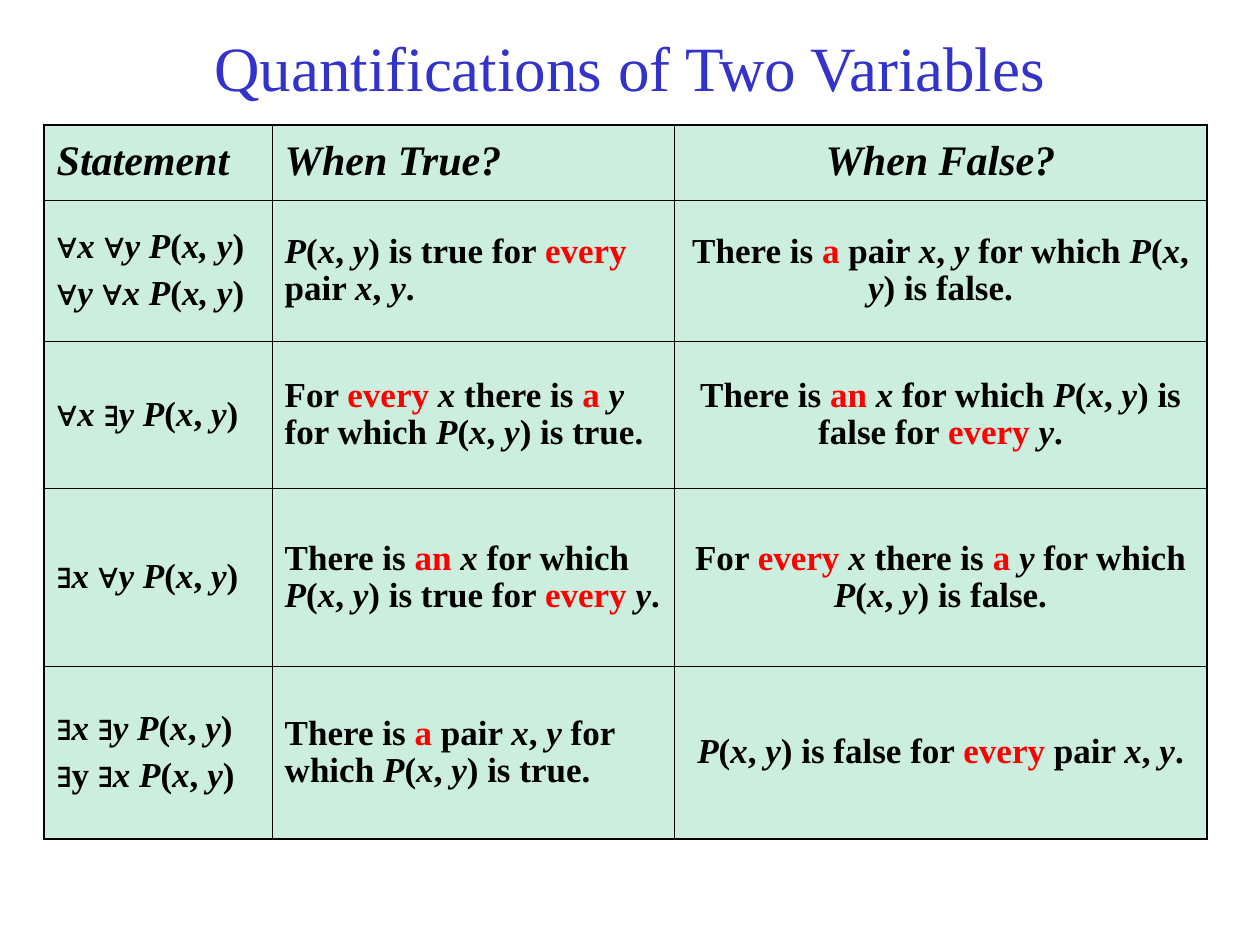
from dataclasses import dataclass
from itertools import groupby

from lxml.etree import SubElement
from pptx import Presentation
from pptx.dml.color import RGBColor
from pptx.enum.text import MSO_ANCHOR, MSO_AUTO_SIZE, PP_ALIGN
from pptx.oxml.ns import qn
from pptx.util import Inches, Pt


@dataclass(frozen=True)
class Theme:
    title_color: str = "3333CC"
    ink: str = "000000"
    accent: str = "FF0000"
    cell_fill: str = "CCEEDF"
    serif: str = "Times New Roman"
    symbol: str = "Arial"
    title_size: int = 36
    header_size: int = 24
    body_size: int = 20
    outer_line: float = 1.08
    inner_line: float = 0.45
    line_spacing: float = 0.96


def split_styles(marked):
    """Yield (text, italic, accent, symbol): *...* is italic, [...] is accented."""
    italic = accent = False
    letters = []
    for letter in marked:
        if letter == "*":
            italic = not italic
        elif letter in "[]":
            accent = letter == "["
        else:
            letters.append((letter, (italic, accent, letter in "∀∃")))
    for style, group in groupby(letters, key=lambda pair: pair[1]):
        yield "".join(letter for letter, _ in group), *style


class SlideBuilder:
    def __init__(self, deck, theme):
        self.theme = theme
        self.width, self.height = deck.slide_width, deck.slide_height
        self.slide = deck.slides.add_slide(deck.slide_layouts[5])

    def box(self, left, top, width, height):
        """Turn shares of the slide's size into lengths."""
        return (int(left * self.width), int(top * self.height),
                int(width * self.width), int(height * self.height))

    def style_font(self, run, size, color, face):
        run.font.size = Pt(size)
        run.font.name = face
        run.font.color.rgb = RGBColor.from_string(color)

    def title(self, text, *shares):
        heading = self.slide.shapes.title
        heading.left, heading.top, heading.width, heading.height = self.box(*shares)
        frame = heading.text_frame
        frame.text = text
        frame.auto_size = MSO_AUTO_SIZE.NONE
        frame.vertical_anchor = MSO_ANCHOR.MIDDLE
        paragraph = frame.paragraphs[0]
        paragraph.alignment = PP_ALIGN.CENTER
        self.style_font(paragraph.runs[0], self.theme.title_size,
                        self.theme.title_color, self.theme.serif)

    def border(self, cell, side, points):
        line = SubElement(cell._tc.get_or_add_tcPr(), qn(f"a:ln{side}"), w=str(Pt(points)))
        SubElement(SubElement(line, qn("a:solidFill")), qn("a:srgbClr"), val=self.theme.ink)

    def cell_text(self, cell, marked, size, alignment):
        frame = cell.text_frame
        frame.text = "\n".join("" for _ in marked.split("\n"))
        for paragraph, line in zip(frame.paragraphs, marked.split("\n")):
            paragraph.alignment = alignment
            paragraph.space_before = Pt(size / 4)
            paragraph.line_spacing = self.theme.line_spacing
            for text, italic, accent, symbol in split_styles(line):
                run = paragraph.add_run()
                run.text = text
                run.font.bold, run.font.italic = True, italic
                self.style_font(run, size,
                                self.theme.accent if accent else self.theme.ink,
                                self.theme.symbol if symbol else self.theme.serif)

    def table(self, rows, widths, heights, alignments, *shares):
        grid = self.slide.shapes.add_table(len(rows), len(widths), *self.box(*shares)).table
        for column, width in zip(grid.columns, widths):
            column.width = Inches(width)
        for row, height in zip(grid.rows, heights):
            row.height = Inches(height)
        for r, texts in enumerate(rows):
            for c, marked in enumerate(texts):
                cell = grid.cell(r, c)
                cell.vertical_anchor = MSO_ANCHOR.MIDDLE
                # Outer edges are heavier than inner ones
                edges = {"L": c == 0, "R": c == len(widths) - 1,
                         "T": r == 0, "B": r == len(rows) - 1}
                for side, outer in edges.items():
                    self.border(cell, side,
                                self.theme.outer_line if outer else self.theme.inner_line)
                cell.fill.solid()
                cell.fill.fore_color.rgb = RGBColor.from_string(self.theme.cell_fill)
                size = self.theme.body_size if r else self.theme.header_size
                self.cell_text(cell, marked, size, alignments[c])


# Content: statement, when true, when false
PXY = "*P*(*x*, *y*)"
QUANTIFICATIONS = [
    ("*Statement*", "*When True?*", "*When False?*"),
    ("∀*x *∀*y P*(*x, y*)\n∀*y *∀*x P*(*x, y*)",
     f"{PXY} is true for [every] pair *x*, *y*.",
     f"There is [a] pair *x*, *y *for which {PXY} is false."),
    (f"∀*x *∃*y *{PXY}",
     f"For [every ]*x* there is [a ]*y* for which {PXY} is true.",
     f"There is [an ]*x* for which {PXY} is false for [every ]*y*."),
    (f"∃*x *∀*y *{PXY}",
     f"There is [an ]*x* for which {PXY} is true for [every ]*y*.",
     f"For [every ]*x* there is [a ]*y* for which {PXY} is false."),
    (f"∃*x *∃*y *{PXY}\n∃y ∃*x *{PXY}",
     f"There is [a] pair *x*, *y* for which {PXY} is true.",
     f"{PXY} is false for [every] pair *x*, *y*."),
]

deck = Presentation()
deck.slide_width, deck.slide_height = Inches(10), Inches(7.5)
builder = SlideBuilder(deck, Theme())

# Heading
builder.title("Quantifications of Two Variables", 0.075, 0.13 / 7.5, 0.85, 0.79 / 7.5)

# Truth conditions
builder.table(QUANTIFICATIONS,
              (1.81, 3.19, 4.23), (0.6, 1.12, 1.17, 1.41, 1.37),
              (PP_ALIGN.LEFT, PP_ALIGN.LEFT, PP_ALIGN.CENTER),
              0.035, 0.99 / 7.5, 0.923, 5.67 / 7.5)

deck.save("out.pptx")
